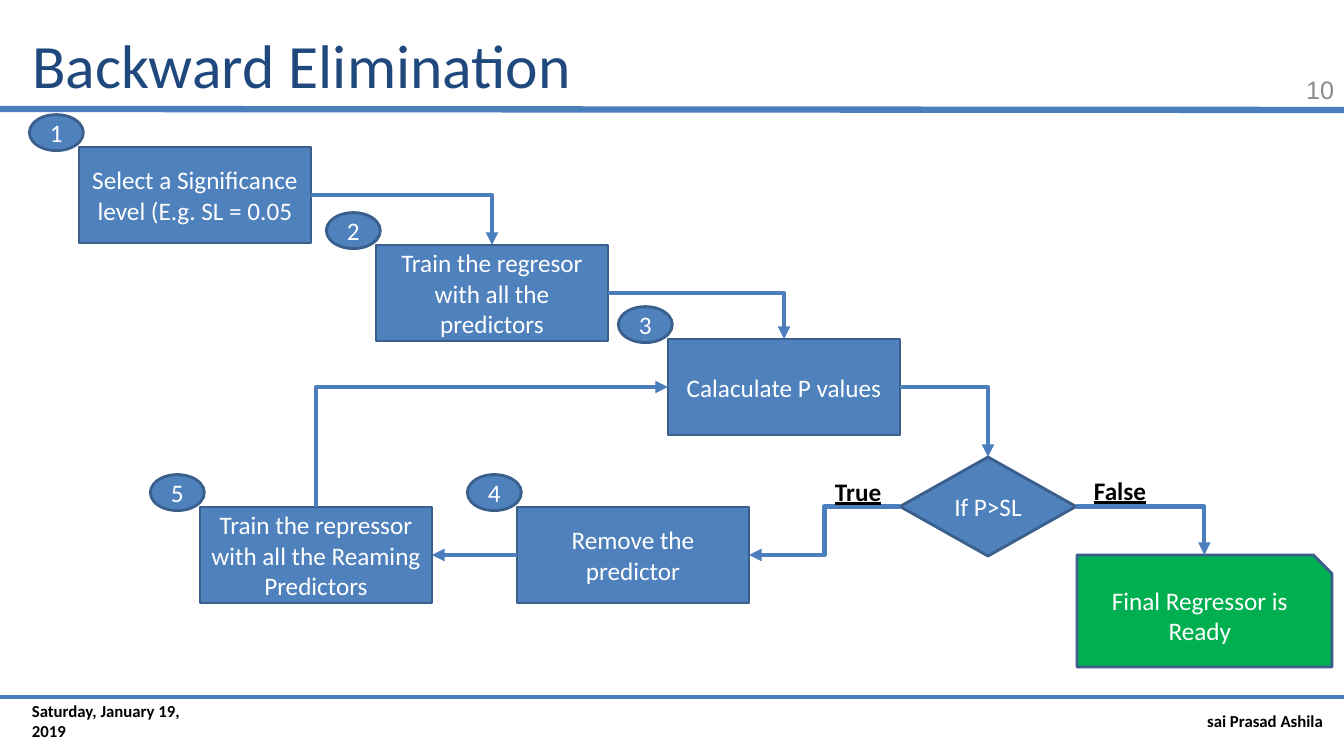
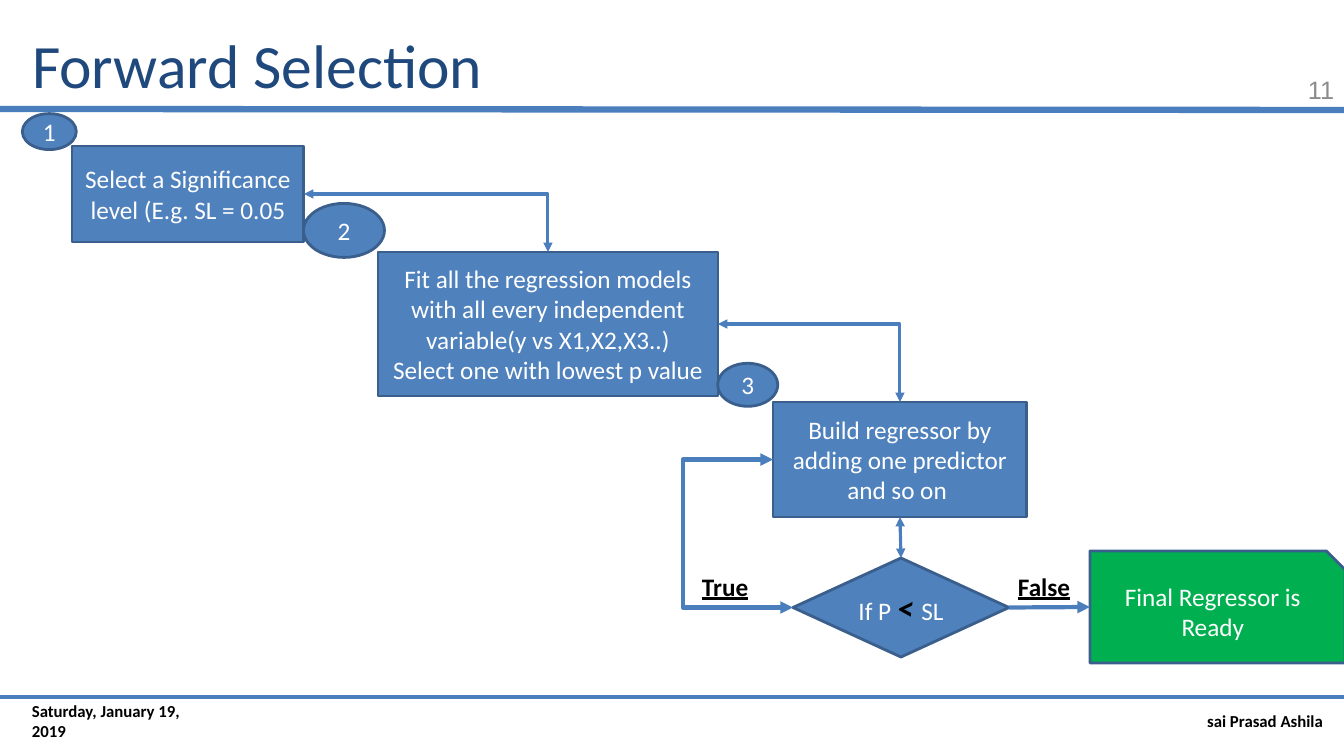
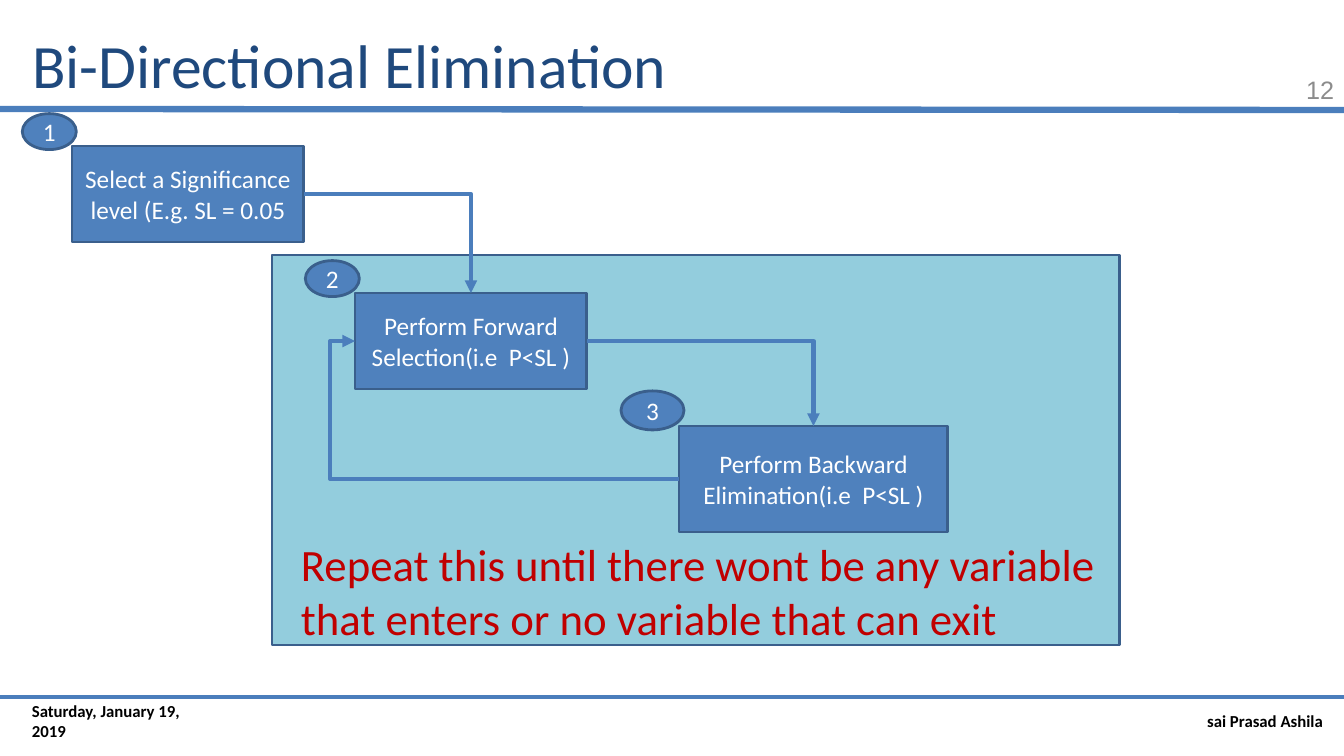
"""Builds three slides of flow charts on stepwise regression."""
from lxml import etree
from pptx import Presentation
from pptx.dml.color import RGBColor
from pptx.enum.shapes import MSO_CONNECTOR, MSO_SHAPE
from pptx.enum.text import MSO_ANCHOR, PP_ALIGN
from pptx.oxml.ns import qn
from pptx.util import Pt

PX = 914400 / 100.8
WIDTH, HEIGHT = 1344, 756

NAVY = RGBColor(0x1F, 0x49, 0x7D)
BLUE = RGBColor(0x4F, 0x81, 0xBD)
EDGE = RGBColor(0x3A, 0x5F, 0x8C)
LINE = RGBColor(0x4B, 0x7E, 0xBC)
GREEN = RGBColor(0x00, 0xB0, 0x50)
AQUA = RGBColor(0x93, 0xCD, 0xDD)
RED = RGBColor(0xC0, 0x00, 0x00)
GREY = RGBColor(0x8C, 0x8C, 0x8C)
BLACK = RGBColor(0, 0, 0)
WHITE = RGBColor(0xFF, 0xFF, 0xFF)

RECT, OVAL = MSO_SHAPE.RECTANGLE, MSO_SHAPE.OVAL
DIAMOND, SNIPPED = MSO_SHAPE.DIAMOND, MSO_SHAPE.SNIP_1_RECTANGLE
STRAIGHT, ELBOW = MSO_CONNECTOR.STRAIGHT, MSO_CONNECTOR.ELBOW
LEFT, CENTER, RIGHT = PP_ALIGN.LEFT, PP_ALIGN.CENTER, PP_ALIGN.RIGHT
TOP, MIDDLE = MSO_ANCHOR.TOP, MSO_ANCHOR.MIDDLE

SIDES = {"top": (0.5, 0), "left": (0, 0.5), "bottom": (0.5, 1), "right": (1, 0.5)}
SITES = {"top": 0, "left": 1, "bottom": 2, "right": 3}
SNIPPED_SITES = {"right": 0, "bottom": 1, "left": 2, "top": 3}

STEP, BADGE = (232, 96), (54, 36)
FINAL = (255, 112)
FIRST_STEP = "Select a Significance level (E.g. SL = 0.05"
FINAL_TEXT = "Final Regressor is Ready"
TITLE_AREA = (22, 17, 1098, 93)
BANDS = [(109, 110, 4.5), (697, 697, 3)]
DATE = ("Saturday, January 19, 2019", (22, 701, 202, 40))
AUTHOR = ("sai Prasad Ashila", (1087, 701, 246, 40))
NUMBER_AREA = (1199, 68, 145, 42)
FIRST_NUMBER = 10

SLIDES = [
    {
        "title": "Backward Elimination",
        "steps": [
            ("select", FIRST_STEP, (79, 147), STEP, BADGE),
            ("train", "Train the regresor with all the predictors", (376, 245), STEP, BADGE),
            ("calculate", "Calaculate P values", (668, 339), STEP, BADGE),
            ("remove", "Remove the predictor", (517, 507), STEP, BADGE),
            ("retrain", "Train the repressor with all the Reaming Predictors",
             (200, 507), STEP, BADGE),
        ],
        "test": ("If P>SL", (900, 457, 176, 99)),
        "final": (1077, 555),
        "labels": [("True", (825, 471)), ("False", (1084, 470))],
        "links": [
            ("select", "right", "train", "top", {}),
            ("train", "right", "calculate", "top", {}),
            ("calculate", "right", "test", "top", {}),
            ("test", "right", "final", "top", {}),
            ("test", "left", "remove", "right", {"route": "double"}),
            ("remove", "left", "retrain", "right", {"route": "straight"}),
            ("calculate", "left", "retrain", "top", {"arrows": ("head",)}),
        ],
    },
    {
        "title": "Forward Selection",
        "steps": [
            ("select", FIRST_STEP, (72, 146), STEP, BADGE),
            ("fit", "Fit all the regression models with all every independent "
             "variable(y vs X1,X2,X3..)\nSelect one with lowest p value",
             (378, 252), (340, 144), (81, 54)),
            ("build", "Build regressor by adding one predictor and so on ",
             (773, 402), (254, 115), (60, 43)),
        ],
        "test": ([("If P ", {}),
                  ("< ", {"size": 24, "color": BLACK, "bold": True, "italic": True}),
                  ("SL", {})], (793, 558, 216, 99)),
        "final": (1090, 551),
        "labels": [("True", (692, 566)), ("False", (1008, 566))],
        "links": [
            ("select", "right", "fit", "top", {"arrows": ("head", "tail"), "weight": 2.25}),
            ("fit", "right", "build", "top", {"arrows": ("head", "tail"), "weight": 2.25}),
            ("build", "bottom", "test", "top",
             {"route": "straight", "arrows": ("head", "tail"), "weight": 2.25}),
            ("test", "left", "build", "left",
             {"route": "double", "lane": 683, "arrows": ("head", "tail")}),
            ("test", "right", "final", "left", {"route": "straight"}),
        ],
    },
    {
        "title": "Bi-Directional Elimination",
        "panel": (272, 255, 848, 390),
        "steps": [
            ("select", FIRST_STEP, (72, 146), STEP, BADGE),
            ("forward", "Perform Forward Selection(i.e  P<SL )", (355, 293), STEP, BADGE),
            ("backward", "Perform Backward Elimination(i.e  P<SL )",
             (679, 426), (269, 106), (63, 39)),
        ],
        "note": ("Repeat this until there wont be any variable that enters "
                 "or no variable that can exit", (291, 532, 829, 119)),
        "links": [
            ("select", "right", "forward", "top", {}),
            ("forward", "right", "backward", "top", {}),
            ("backward", "left", "forward", "left", {"route": "double", "lane": 330}),
        ],
    },
]


def px(*lengths):
    return [round(length * PX) for length in lengths]


def write(frame, text, size=18, color=WHITE, font="Calibri", bold=False, italic=False,
          underline=False, align=LEFT, anchor=MIDDLE, wrap=True):
    frame.word_wrap = wrap
    frame.vertical_anchor = anchor
    lines = text.split("\n") if isinstance(text, str) else [text]
    for index, line in enumerate(lines):
        para = frame.add_paragraph() if index else frame.paragraphs[0]
        para.alignment = align
        for words, changes in [(line, {})] if isinstance(line, str) else line:
            look = {"size": size, "color": color, "bold": bold, "italic": italic, **changes}
            span = para.add_run()
            span.text = words
            span.font.name = font
            span.font.size = Pt(look["size"])
            span.font.color.rgb = look["color"]
            span.font.bold = look["bold"]
            span.font.italic = look["italic"]
            span.font.underline = underline


def add_label(page, text, area, **look):
    write(page.shapes.add_textbox(*px(*area)).text_frame, text, **look)


def add_block(page, kind, area, text="", fill=BLUE):
    block = page.shapes.add_shape(kind, *px(*area))
    block.shadow.inherit = False
    block.fill.solid()
    block.fill.fore_color.rgb = fill
    block.line.color.rgb = EDGE
    block.line.width = Pt(2)
    if text:
        write(block.text_frame, text, align=CENTER)
    return block


def add_line(page, kind, start, end, weight, arrows=()):
    line = page.shapes.add_connector(kind, *start, *end)
    line.line.color.rgb = LINE
    line.line.width = Pt(weight)
    properties = line._element.spPr
    for tip in arrows:
        etree.SubElement(properties.find(qn("a:ln")), qn(f"a:{tip}End"), type="triangle")
    etree.SubElement(properties, qn("a:effectLst"))
    return line


def side_point(block, side):
    across, down = SIDES[side]
    return round(block.left + across * block.width), round(block.top + down * block.height)


def site(block, side):
    snipped = block.auto_shape_type == SNIPPED
    return (SNIPPED_SITES if snipped else SITES)[side]


def add_link(page, first, first_side, last, last_side,
             route="corner", lane=None, arrows=("tail",), weight=3):
    start, end = side_point(first, first_side), side_point(last, last_side)
    kind = STRAIGHT if route == "straight" else ELBOW
    link = add_line(page, kind, start, end, weight, arrows)
    link.begin_connect(first, site(first, first_side))
    link.end_connect(last, site(last, last_side))
    link.end_x, link.end_y = end
    geometry = link._element.spPr.find(qn("a:prstGeom"))
    if route == "corner":
        geometry.set("prst", "bentConnector2")
    if route == "double":
        frame = link._element.spPr.find(qn("a:xfrm"))
        frame.rot, frame.flipH, frame.flipV = 180, False, not frame.flipV
    if lane is not None:
        share = round((lane * PX - start[0]) / (end[0] - start[0]) * 100000)
        etree.SubElement(geometry.find(qn("a:avLst")), qn("a:gd"),
                         name="adj1", fmla=f"val {share}")


def add_step(page, number, text, corner, size, badge):
    block = add_block(page, RECT, (*corner, *size), text)
    badge_left = corner[0] - 0.92 * badge[0]
    badge_top = corner[1] - 0.9 * badge[1]
    add_block(page, OVAL, (badge_left, badge_top, *badge), str(number))
    return block


def add_frame(page, title, number):
    write(page.shapes.title.text_frame, title, size=44, color=NAVY)
    add_label(page, *DATE, size=12, color=BLACK, bold=True)
    add_label(page, *AUTHOR, size=12, color=BLACK, bold=True, align=RIGHT)
    add_label(page, str(number), NUMBER_AREA, color=GREY, font="Arial", align=RIGHT)


def add_bands(page, layout):
    for start_y, end_y, weight in BANDS:
        band = add_line(page, STRAIGHT, px(0, start_y), px(WIDTH, end_y), weight)
        layout.shapes._spTree.append(band._element)


def add_chart_flow(page, content):
    if "panel" in content:
        add_block(page, RECT, content["panel"], fill=AQUA)
    blocks = {}
    for number, (name, *step) in enumerate(content["steps"], 1):
        blocks[name] = add_step(page, number, *step)
    if "test" in content:
        text, area = content["test"]
        blocks["test"] = add_block(page, DIAMOND, area, text)
        blocks["final"] = add_block(page, SNIPPED, (*content["final"], *FINAL),
                                    FINAL_TEXT, GREEN)
    for first, first_side, last, last_side, look in content["links"]:
        add_link(page, blocks[first], first_side, blocks[last], last_side, **look)
    for text, corner in content.get("labels", []):
        add_label(page, text, (*corner, 73, 40), color=BLACK, bold=True,
                  underline=True, anchor=TOP, wrap=False)
    if "note" in content:
        add_label(page, *content["note"], size=32, color=RED, anchor=TOP)


def main():
    deck = Presentation()
    deck.slide_width, deck.slide_height = px(WIDTH, HEIGHT)
    layout = deck.slide_layouts.get_by_name("Title Only")
    heading = layout.placeholders[0]
    heading.left, heading.top, heading.width, heading.height = px(*TITLE_AREA)
    for number, content in enumerate(SLIDES, FIRST_NUMBER):
        page = deck.slides.add_slide(layout)
        if number == FIRST_NUMBER:
            add_bands(page, layout)
        add_frame(page, content["title"], number)
        add_chart_flow(page, content)
    deck.save("out.pptx")


if __name__ == "__main__":
    main()
